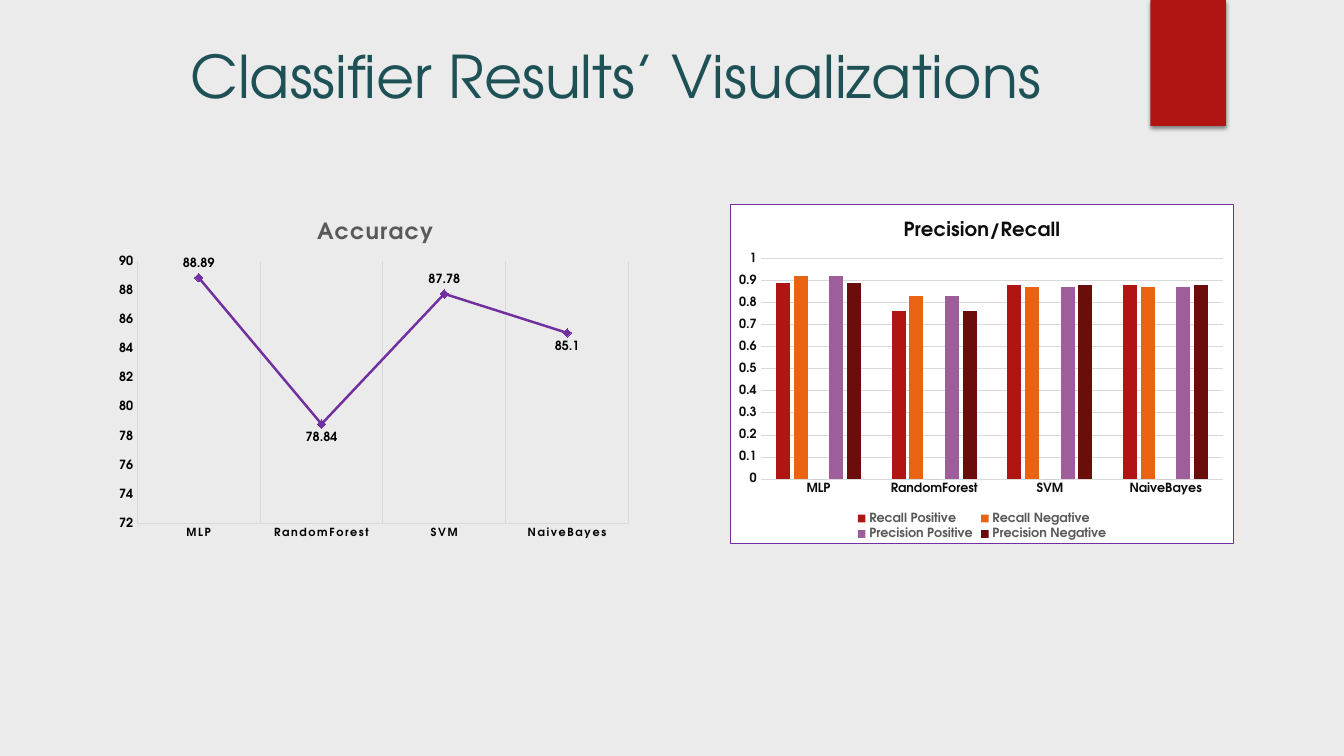
"""Build a slide comparing classifier accuracy, precision and recall in two charts."""
import lxml.etree
import pptx
import pptx.chart.data
import pptx.dml.color
import pptx.enum.chart
import pptx.enum.shapes
import pptx.enum.text
import pptx.oxml
import pptx.oxml.ns
import pptx.util

RGBColor = pptx.dml.color.RGBColor
BACKGROUND = RGBColor(0xEB, 0xEB, 0xEB)
TEAL = RGBColor(0x1E, 0x51, 0x55)
RED = RGBColor(0xB0, 0x15, 0x13)
ORANGE = RGBColor(0xEA, 0x63, 0x12)
BLUE = RGBColor(0x54, 0x84, 0x9A)
MAUVE = RGBColor(0x9E, 0x5E, 0x9B)
MAROON = RGBColor(0x6A, 0x0D, 0x0B)
PURPLE = RGBColor(0x70, 0x30, 0xA0)
BLACK = RGBColor(0, 0, 0)
INK = RGBColor(0x0D, 0x0D, 0x0D)
GREY = RGBColor(0x59, 0x59, 0x59)
RULE = RGBColor(0xD9, 0xD9, 0xD9)
FONT = "TeX Gyre Adventor"
NAMESPACES = pptx.oxml.ns.nsdecls("a", "c")
CLASSIFIERS = ["MLP", "RandomForest", "SVM", "NaiveBayes"]
CHART_TOP, CHART_HEIGHT = pptx.util.Inches(2.02), pptx.util.Inches(3.38)


def style_font(font, size, color, bold=True):
    font.name = FONT
    font.size = pptx.util.Pt(size)
    font.bold = bold
    font.color.rgb = color


def add_chart(slide, kind, left, width, series, heading, title_style, plot_share, frame):
    data = pptx.chart.data.CategoryChartData()
    data.categories = CLASSIFIERS
    for name, values in series:
        data.add_series(name, values)
    chart = slide.shapes.add_chart(
        kind, pptx.util.Inches(left), CHART_TOP, pptx.util.Inches(width), CHART_HEIGHT, data).chart
    style_font(chart.font, 10, BLACK, False)
    chart.has_legend = False
    chart.has_title = True
    span = chart.chart_title.text_frame.paragraphs[0].add_run()
    span.text = heading
    style_font(span.font, *title_style)
    chart.chart_title.include_in_layout = False
    chart.plots[0].vary_by_categories = False
    plot_area = chart._chartSpace.chart.plotArea
    for layout in plot_area.xpath("c:layout"):
        plot_area.remove(layout)
    places = "".join(f'<c:{tag} val="{share}"/>' for tag, share in zip("xywh", plot_share))
    plot_area.insert(0, pptx.oxml.parse_xml(
        f'<c:layout {NAMESPACES}><c:manualLayout><c:layoutTarget val="inner"/>'
        f'<c:xMode val="edge"/><c:yMode val="edge"/>{places}</c:manualLayout></c:layout>'))
    chart._chartSpace.xpath("c:txPr")[0].addprevious(
        pptx.oxml.parse_xml(f"<c:spPr {NAMESPACES}>{frame}</c:spPr>"))
    return chart


deck = pptx.Presentation()
deck.slide_width = pptx.util.Inches(13.33)
deck.slide_height = pptx.util.Inches(7.5)
slide = deck.slides.add_slide(deck.slide_layouts[5])
slide.background.fill.solid()
slide.background.fill.fore_color.rgb = BACKGROUND

ribbon = slide.shapes.add_shape(
    pptx.enum.shapes.MSO_SHAPE.RECTANGLE, pptx.util.Inches(11.41), 0,
    pptx.util.Inches(0.75), pptx.util.Inches(1.25))
ribbon.fill.solid()
ribbon.fill.fore_color.rgb = RED
ribbon.line.fill.background()
ribbon.shadow.inherit = False
effects = ribbon._element.spPr.find(pptx.oxml.ns.qn("a:effectLst"))
effects.append(pptx.oxml.parse_xml(
    f'<a:outerShdw {NAMESPACES} blurRad="38100" dist="25400" dir="5400000" rotWithShape="0">'
    '<a:srgbClr val="000000"><a:alpha val="45000"/></a:srgbClr></a:outerShdw>'))

title = slide.shapes.title
title.left, title.top = pptx.util.Inches(1.21), pptx.util.Inches(0.36)
title.width, title.height = pptx.util.Inches(9.79), pptx.util.Inches(0.76)
title.text_frame.vertical_anchor = pptx.enum.text.MSO_ANCHOR.MIDDLE
para = title.text_frame.paragraphs[0]
para.alignment = pptx.enum.text.PP_ALIGN.CENTER
span = para.add_run()
span.text = "Classifier Results’ Visualizations"
style_font(span.font, 42, TEAL, False)

score_series = [
    ("Recall Positive", (0.89, 0.76, 0.88, 0.88)),
    ("Recall Negative", (0.92, 0.83, 0.87, 0.87)),
    ("Series 3", (0, 0, 0, 0)),
    ("Precision Positive", (0.92, 0.83, 0.87, 0.87)),
    ("Precision Negative", (0.89, 0.76, 0.88, 0.88)),
]
scores = add_chart(
    slide, pptx.enum.chart.XL_CHART_TYPE.COLUMN_CLUSTERED, 7.24, 5, score_series,
    "Precision/Recall", (14, INK), (0.06, 0.16, 0.92, 0.65),
    '<a:solidFill><a:srgbClr val="FFFFFF"/></a:solidFill><a:ln w="9525"><a:solidFill>'
    f'<a:srgbClr val="{PURPLE}"/></a:solidFill></a:ln>')
scores.plots[0].gap_width = 219
scores.plots[0].overlap = -27
for bars, color in zip(scores.plots[0].series, (RED, ORANGE, BLUE, MAUVE, MAROON)):
    bars.format.fill.solid()
    bars.format.fill.fore_color.rgb = color
scores.has_legend = True
scores.legend.position = pptx.enum.chart.XL_LEGEND_POSITION.BOTTOM
scores.legend.include_in_layout = False
style_font(scores.legend.font, 9, GREY)
scores.legend._element.xpath("c:legendPos")[0].addnext(pptx.oxml.parse_xml(
    f'<c:legendEntry {NAMESPACES}><c:idx val="2"/><c:delete val="1"/></c:legendEntry>'))

accuracy = add_chart(
    slide, pptx.enum.chart.XL_CHART_TYPE.LINE_MARKERS, 1.1, 5.24,
    [("Accuracy", (88.89, 78.84, 87.78, 85.1))], "Accuracy", (16, GREY),
    (0.05, 0.17, 0.93, 0.77), "<a:noFill/><a:ln><a:noFill/></a:ln>")
curve = accuracy.plots[0].series[0]
curve.smooth = False
curve.format.line.color.rgb = PURPLE
curve.format.line.width = pptx.util.Pt(1.75)
curve.marker.style = pptx.enum.chart.XL_MARKER_STYLE.DIAMOND
curve.marker.size = 6
curve.marker.format.fill.solid()
curve.marker.format.fill.fore_color.rgb = PURPLE
curve.marker.format.line.color.rgb = PURPLE
ABOVE = pptx.enum.chart.XL_LABEL_POSITION.ABOVE
BELOW = pptx.enum.chart.XL_LABEL_POSITION.BELOW
for index, position in enumerate((ABOVE, BELOW, ABOVE, BELOW)):
    label = curve.points[index].data_label
    style_font(label.font, 9, BLACK)
    label.position = position

for chart, low, high, step, category_size, color, grid_axis in (
        (scores, 0, 1, 0.1, 9, INK, scores.value_axis),
        (accuracy, 72, 90, 2, 8, BLACK, accuracy.category_axis)):
    chart.value_axis.minimum_scale = low
    chart.value_axis.maximum_scale = high
    chart.value_axis.major_unit = step
    chart.value_axis.has_major_gridlines = False
    for axis, size in ((chart.category_axis, category_size), (chart.value_axis, 9)):
        axis.major_tick_mark = pptx.enum.chart.XL_TICK_MARK.NONE
        axis.format.line.color.rgb = RULE
        axis.format.line.width = pptx.util.Pt(0.75)
        style_font(axis.tick_labels.font, size, color)
    grid_axis.has_major_gridlines = True
    grid_axis.major_gridlines.format.line.color.rgb = RULE
    grid_axis.major_gridlines.format.line.width = pptx.util.Pt(0.75)
scores.value_axis.format.line.fill.background()

spaced_text = accuracy.category_axis._element.xpath(".//a:defRPr")
spaced_text += accuracy.chart_title._element.xpath(".//a:rPr")
for properties in spaced_text:
    properties.set("spc", "100")

deck.save("out.pptx")
